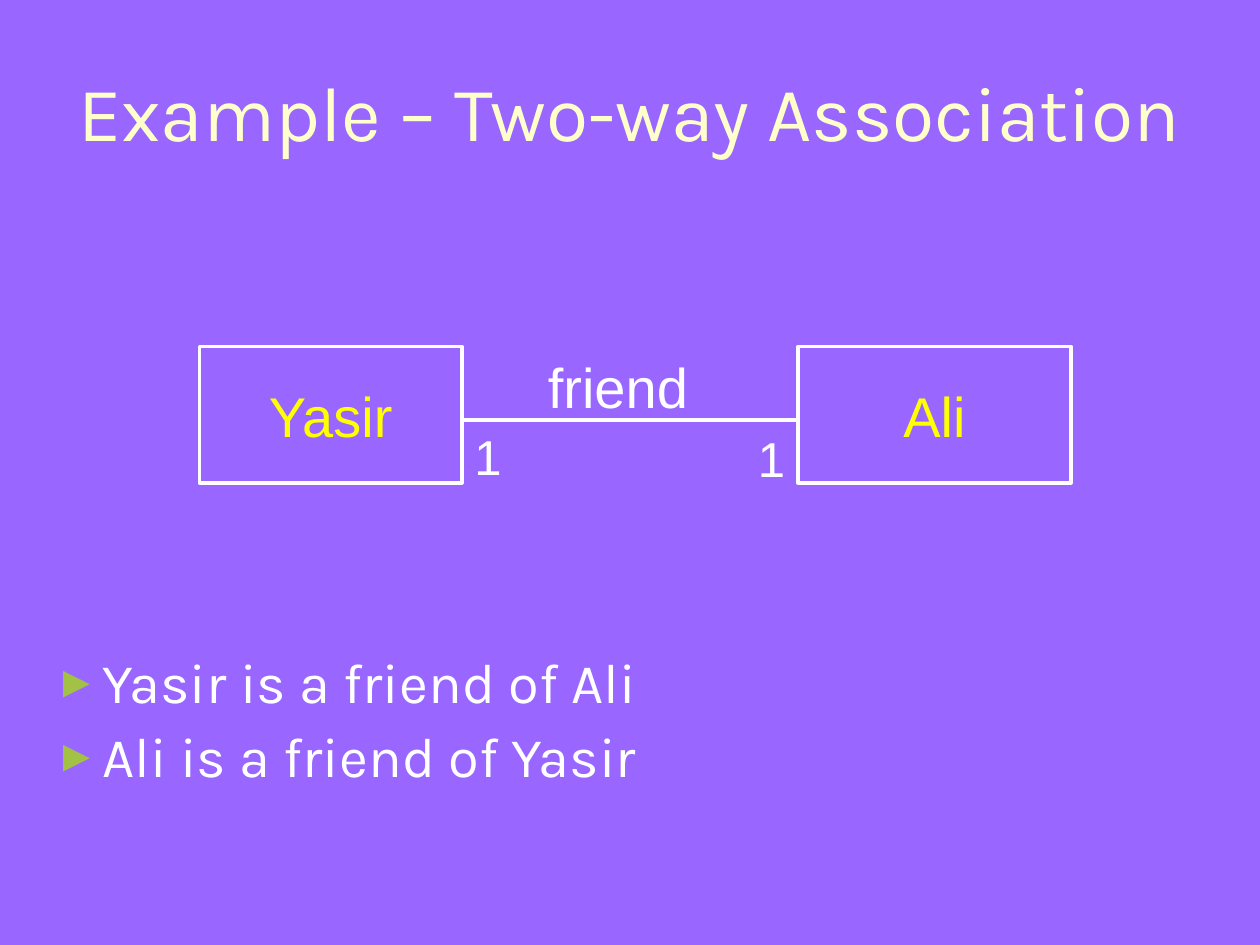
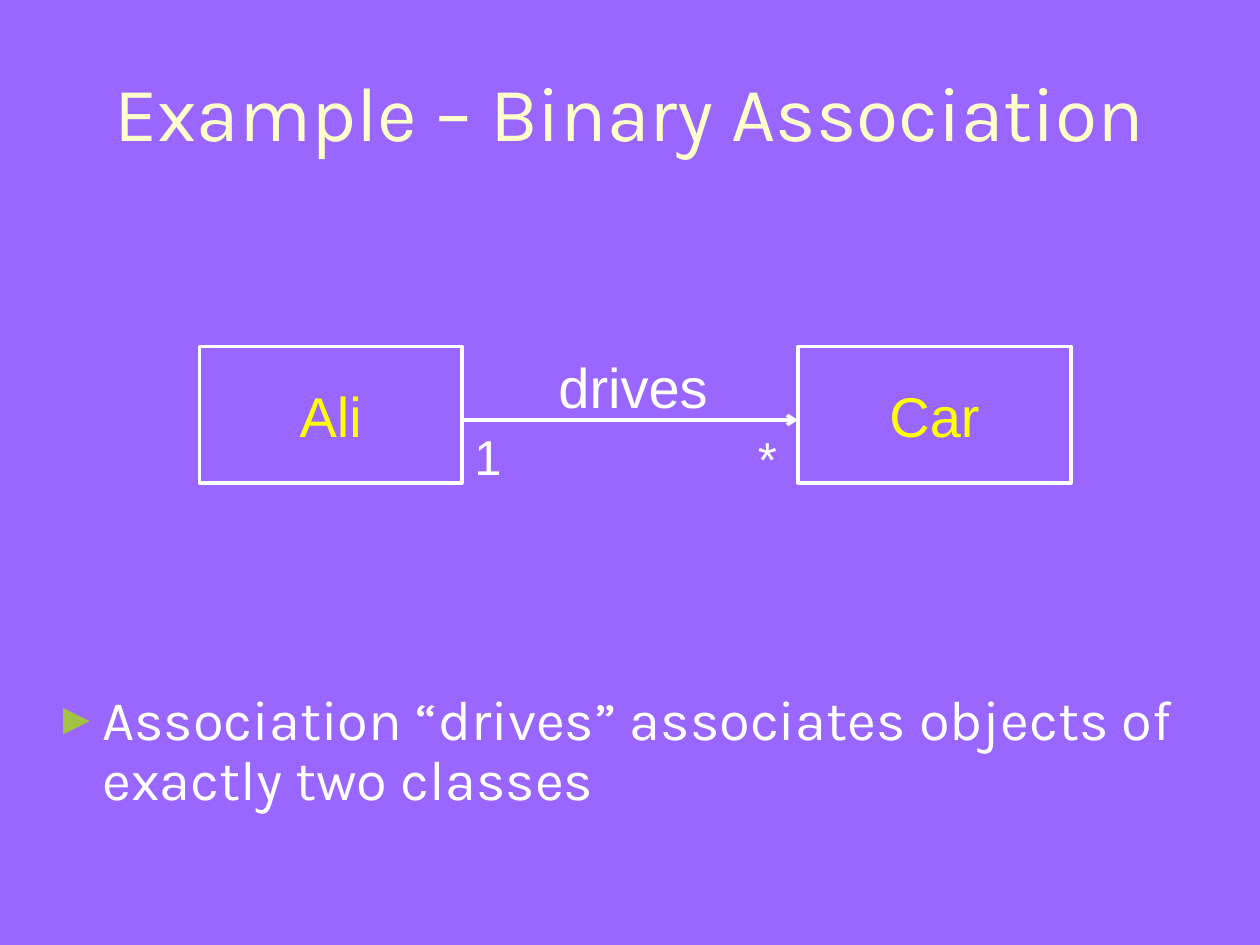
from collections import namedtuple

from lxml.etree import SubElement
from pptx import Presentation
from pptx.dml.color import RGBColor
from pptx.enum.shapes import MSO_CONNECTOR as Connector, MSO_SHAPE as Preset
from pptx.enum.text import MSO_ANCHOR as Anchor, MSO_AUTO_SIZE as AutoSize, PP_ALIGN as Align
from pptx.oxml.ns import qn
from pptx.util import Inches, Pt

PURPLE = RGBColor(0x99, 0x66, 0xFF)
CREAM = RGBColor(0xFF, 0xFF, 0xCC)
YELLOW = RGBColor(0xFF, 0xFF, 0x00)
WHITE = RGBColor(0xFF, 0xFF, 0xFF)
GREEN = RGBColor(0xA3, 0xC1, 0x45)
HEADING_FONT, DIAGRAM_FONT = "Karla", "Arial"

# Grid of 120 columns by 90 rows
WIDTH, HEIGHT = Inches(10), Inches(7.5)
COLUMN, ROW = WIDTH // 120, HEIGHT // 90

Box = namedtuple("Box", "left top width height")
TITLE_BOX = Box(4, 3, 112, 15)
DIAGRAM_BOX = Box(19, 33, 83, 13)


def inside(outer, left, top, width, height):
    """Box whose corner is measured from the corner of the outer box."""
    return Box(outer.left + left, outer.top + top, width, height)


def on_grid(box):
    return (round(box.left * COLUMN), round(box.top * ROW),
            round(box.width * COLUMN), round(box.height * ROW))


def format_runs(frame, font, size, color):
    for paragraph in frame.paragraphs:
        for run in paragraph.runs:
            run.font.name = font
            run.font.size = Pt(size)
            run.font.color.rgb = color


def add_title(slide, box, wording):
    title = slide.shapes.title
    title.left, title.top, title.width, title.height = on_grid(box)
    frame = title.text_frame
    frame.text = wording
    frame.auto_size = AutoSize.NONE
    frame.vertical_anchor = Anchor.MIDDLE
    frame.paragraphs[0].alignment = Align.CENTER
    format_runs(frame, HEADING_FONT, 44, CREAM)


def add_class(slide, box, name):
    rectangle = slide.shapes.add_shape(Preset.RECTANGLE, *on_grid(box))
    rectangle.shadow.inherit = False
    rectangle.fill.background()
    rectangle.line.color.rgb = WHITE
    rectangle.line.width = Pt(2)
    frame = rectangle.text_frame
    frame.text = name
    frame.word_wrap = False
    frame.vertical_anchor = Anchor.MIDDLE
    frame.paragraphs[0].alignment = Align.CENTER
    format_runs(frame, DIAGRAM_FONT, 32, YELLOW)


def add_label(slide, box, wording, size):
    frame = slide.shapes.add_textbox(*on_grid(box)).text_frame
    frame.text = wording
    frame.word_wrap = True
    frame.auto_size = AutoSize.SHAPE_TO_FIT_TEXT
    frame.paragraphs[0].space_before = Pt(size * 0.625)
    format_runs(frame, DIAGRAM_FONT, size, WHITE)


def add_link(slide, box, directed):
    left, top, width, height = on_grid(box)
    link = slide.shapes.add_connector(Connector.STRAIGHT, left, top, left + width, top + height)
    link.line.color.rgb = WHITE
    link.line.width = Pt(2)
    if directed:
        SubElement(link.line._get_or_add_ln(), qn("a:tailEnd"), type="arrow")
    SubElement(link._element.spPr, qn("a:effectLst"))


def add_diagram(slide, box, classes, role, role_span, counts, directed):
    source, target = classes
    source_count, target_count = counts
    role_left, role_width = role_span
    # Classes at the two ends
    add_class(slide, inside(box, 0, 0, 25, 13), source)
    add_class(slide, inside(box, 57, 0, 26, 13), target)
    # Association between them, with its role and multiplicities
    add_link(slide, inside(box, 25, 7, 32, 0), directed)
    add_label(slide, inside(box, role_left, 0, role_width, 7.7), role, 32)
    add_label(slide, inside(box, 25, 7, 5, 6.8), source_count, 28)
    add_label(slide, inside(box, 52, 7.2, 5, 6.8), target_count, 28)


def add_bullet(paragraph):
    props = paragraph._p.get_or_add_pPr()
    props.set("marL", str(Inches(0.38)))
    props.set("indent", str(-Inches(0.38)))
    bullet_color = SubElement(props, qn("a:buClr"))
    SubElement(bullet_color, qn("a:srgbClr"), val=str(GREEN))
    SubElement(props, qn("a:buSzPct"), val="80000")
    SubElement(props, qn("a:buFont"), typeface=DIAGRAM_FONT)
    SubElement(props, qn("a:buChar"), char="►")


def add_statements(slide, box, statements):
    frame = slide.shapes.add_textbox(*on_grid(box)).text_frame
    frame.word_wrap = True
    frame.text = "\n".join(statements)
    for paragraph in frame.paragraphs:
        paragraph.line_spacing = 0.9
        paragraph.space_before = Pt(8)
        add_bullet(paragraph)
    format_runs(frame, HEADING_FONT, 32, WHITE)


def add_example(deck, title, diagram, statements_box, statements):
    slide = deck.slides.add_slide(deck.slide_layouts.get_by_name("Title Only"))
    add_title(slide, TITLE_BOX, title)
    add_diagram(slide, DIAGRAM_BOX, **diagram)
    add_statements(slide, statements_box, statements)


def main():
    deck = Presentation()
    deck.slide_width, deck.slide_height = WIDTH, HEIGHT

    # Shared background
    backdrop = deck.slide_master.background.fill
    backdrop.solid()
    backdrop.fore_color.rgb = PURPLE

    # Two-way association
    add_example(
        deck, "Example – Two-way Association",
        dict(classes=("Yasir", "Ali"), role="friend", role_span=(32, 16),
             counts=("1", "1"), directed=False),
        Box(4, 61.8, 112, 14.9),
        ["Yasir is a friend of Ali", "Ali is a friend of Yasir"])

    # Binary association
    add_example(
        deck, "Example – Binary Association",
        dict(classes=("Ali", "Car"), role="drives", role_span=(33, 19),
             counts=("1", "*"), directed=True),
        Box(4, 65.3, 112, 13.3),
        ["Association “drives” associates objects of exactly two classes"])

    deck.save("out.pptx")


if __name__ == "__main__":
    main()
